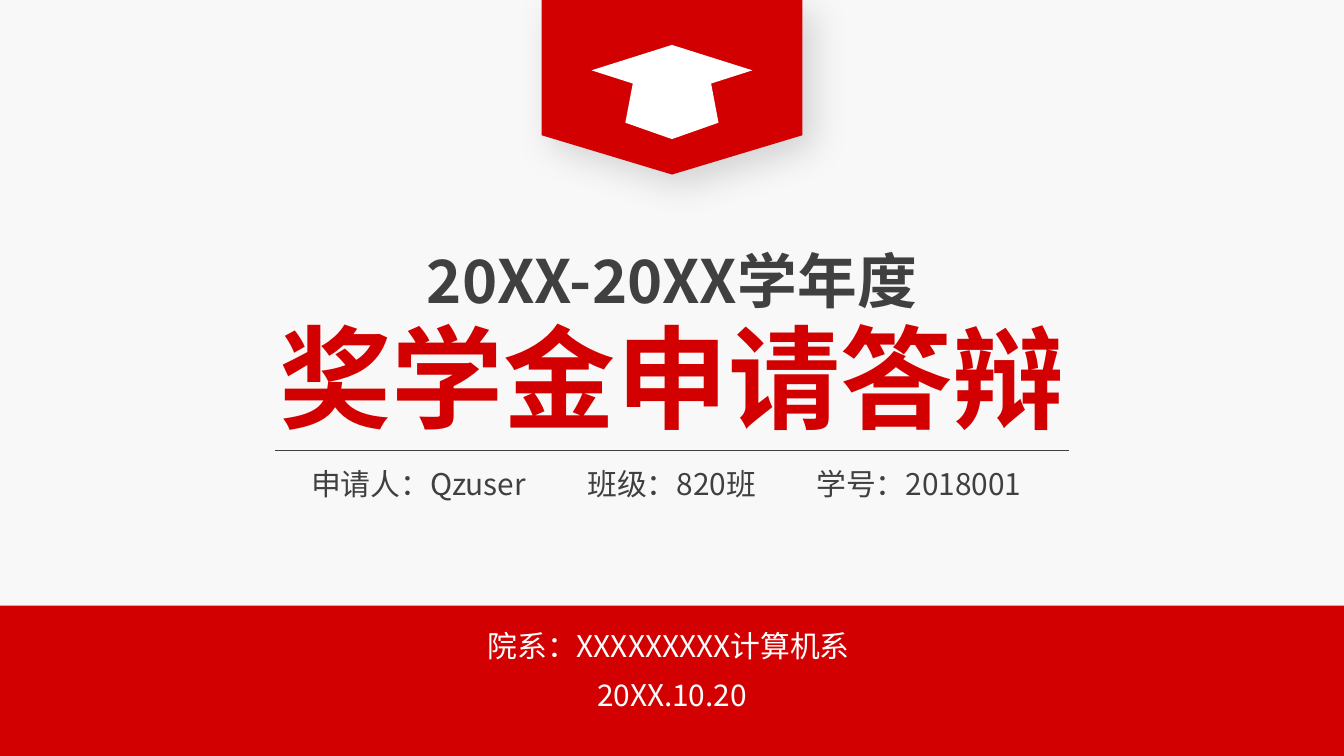
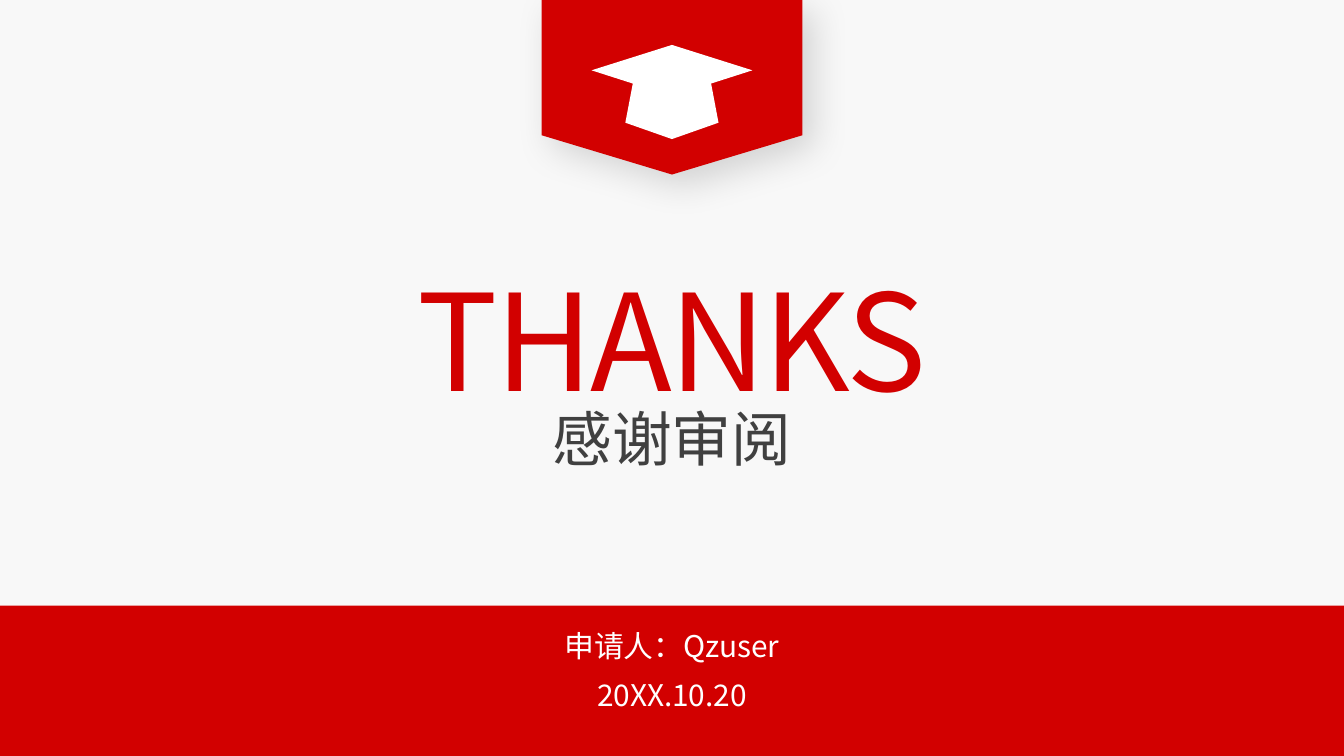
from lxml.etree import SubElement
from pptx import Presentation
from pptx.dml.color import RGBColor
from pptx.enum.shapes import MSO_CONNECTOR, MSO_SHAPE
from pptx.enum.text import MSO_ANCHOR, MSO_AUTO_SIZE, PP_ALIGN
from pptx.oxml.ns import qn
from pptx.util import Cm, Pt

RED = RGBColor(0xD2, 0x00, 0x00)
DARK = RGBColor(0x40, 0x40, 0x40)
WHITE = RGBColor(0xFF, 0xFF, 0xFF)
BACKGROUND = RGBColor(0xF8, 0xF8, 0xF8)
FONT = "Noto Sans CJK SC"

SLIDE_WIDTH, SLIDE_HEIGHT = 25.4, 14.29
CENTRE = SLIDE_WIDTH / 2
BAND_HEIGHT = 2.84
BADGE_WIDTH, BADGE_HEIGHT = 4.93, 3.3
RULE_WIDTH, RULE_TOP = 15, 8.51
CAP_RIGHT_SIDE = [(1.52, 1.33), (0.74, 1.58), (0.88, 2.32)]
CAP_TOP, CAP_BOTTOM = (0, 0.85), (0, 2.63)
DATE = "20XX.10.20"


def fill_plain(shape, color):
    shape.shadow.inherit = False
    shape.fill.solid()
    shape.fill.fore_color.rgb = color
    shape.line.fill.background()


def write_text(shape, text, top, width, height, size, color, bold=False):
    shape.left, shape.top = Cm((SLIDE_WIDTH - width) / 2), Cm(top)
    shape.width, shape.height = Cm(width), Cm(height)
    text_frame = shape.text_frame
    text_frame.text = text
    text_frame.word_wrap = True
    text_frame.auto_size = MSO_AUTO_SIZE.NONE
    text_frame.vertical_anchor = MSO_ANCHOR.MIDDLE
    paragraph = text_frame.paragraphs[0]
    paragraph.alignment = PP_ALIGN.CENTER
    for run in paragraph.runs:
        run.font.name = FONT
        run.font.size = Pt(size)
        run.font.bold = bold
        run.font.color.rgb = color
        SubElement(run.font._element, qn("a:ea"), typeface=FONT)


def add_text(slide, *arguments, **options):
    text_box = slide.shapes.add_textbox(0, 0, 0, 0)
    write_text(text_box, *arguments, **options)
    return text_box


def add_applicant_line(slide, fields):
    text_box = add_text(slide, "\t".join(fields), 8.67, 16.76, 0.94, 16, DARK)
    text_box.text_frame.margin_left = Cm(1.56)
    paragraph = text_box.text_frame.paragraphs[0]
    paragraph.alignment = PP_ALIGN.LEFT
    tab_list = SubElement(paragraph._p.get_or_add_pPr(), qn("a:tabLst"))
    for position in (5.22, 9.55):
        SubElement(tab_list, qn("a:tab"), pos=str(Cm(position)), algn="l")


def add_rule(slide):
    left = (SLIDE_WIDTH - RULE_WIDTH) / 2
    rule = slide.shapes.add_connector(
        MSO_CONNECTOR.STRAIGHT, Cm(left), Cm(RULE_TOP), Cm(left + RULE_WIDTH), Cm(RULE_TOP)
    )
    rule.line.color.rgb = DARK
    rule.line.width = Pt(0.75)
    SubElement(rule._element.spPr, qn("a:effectLst"))


def add_band(slide, first_line):
    band = slide.shapes.add_shape(
        MSO_SHAPE.RECTANGLE, 0, Cm(SLIDE_HEIGHT - BAND_HEIGHT), Cm(SLIDE_WIDTH), Cm(BAND_HEIGHT)
    )
    fill_plain(band, RED)
    add_text(slide, first_line, 11.73, 8.4, 0.94, 16, WHITE)
    add_text(slide, DATE, 12.65, 4.47, 0.94, 16, WHITE)


def add_badge(slide):
    badge = slide.shapes.add_shape(
        MSO_SHAPE.PENTAGON,
        Cm(CENTRE - BADGE_HEIGHT / 2),
        Cm((BADGE_HEIGHT - BADGE_WIDTH) / 2),
        Cm(BADGE_HEIGHT),
        Cm(BADGE_WIDTH),
    )
    badge.rotation = 90
    badge.adjustments[0] = 0.225
    fill_plain(badge, RED)
    effects = badge._element.spPr.find(qn("a:effectLst"))
    shadow = SubElement(
        effects, qn("a:outerShdw"), blurRad=str(Pt(20)), dist=str(Pt(8)),
        dir=str(45 * 60000), algn="ctr", rotWithShape="0",
    )
    color = SubElement(shadow, qn("a:srgbClr"), val="000000")
    SubElement(color, qn("a:alpha"), val="15000")


def add_cap(slide):
    left_side = [(-x, y) for x, y in reversed(CAP_RIGHT_SIDE)]
    outline = [CAP_TOP, *CAP_RIGHT_SIDE, CAP_BOTTOM, *left_side]
    points = [(Cm(CENTRE + x), Cm(y)) for x, y in outline]
    builder = slide.shapes.build_freeform(*points[0])
    builder.add_line_segments(points[1:], close=True)
    fill_plain(builder.convert_to_shape(), WHITE)


def add_framed_slide(presentation, band_line):
    slide = presentation.slides.add_slide(presentation.slide_layouts[5])
    slide.background.fill.solid()
    slide.background.fill.fore_color.rgb = BACKGROUND
    add_band(slide, band_line)
    add_badge(slide)
    add_cap(slide)
    return slide


def add_cover(presentation):
    slide = add_framed_slide(presentation, "院系：XXXXXXXXX计算机系 ")
    write_text(slide.shapes.title, "奖学金申请答辩", 5.69, 16.76, 2.82, 60, RED, bold=True)
    add_text(slide, "20XX-20XX学年度", 4.48, 17.4, 1.63, 32, DARK, bold=True)
    add_rule(slide)
    add_applicant_line(slide, ["申请人：Qzuser", "班级：820班", "学号：2018001"])


def add_closing(presentation):
    slide = add_framed_slide(presentation, "申请人：Qzuser")
    title = slide.shapes.title
    write_text(title, "THANKS", 4.72, 10.64, 3.33, 72, RED)
    title.text_frame.word_wrap = False
    title.text_frame.paragraphs[0].runs[0].font._element.set("spc", "-150")
    add_text(slide, "感谢审阅", 7.63, 8.86, 1.27, 32, DARK)


def main():
    presentation = Presentation()
    presentation.slide_width = Cm(SLIDE_WIDTH)
    presentation.slide_height = Cm(SLIDE_HEIGHT)
    add_cover(presentation)
    add_closing(presentation)
    presentation.save("out.pptx")


if __name__ == "__main__":
    main()
